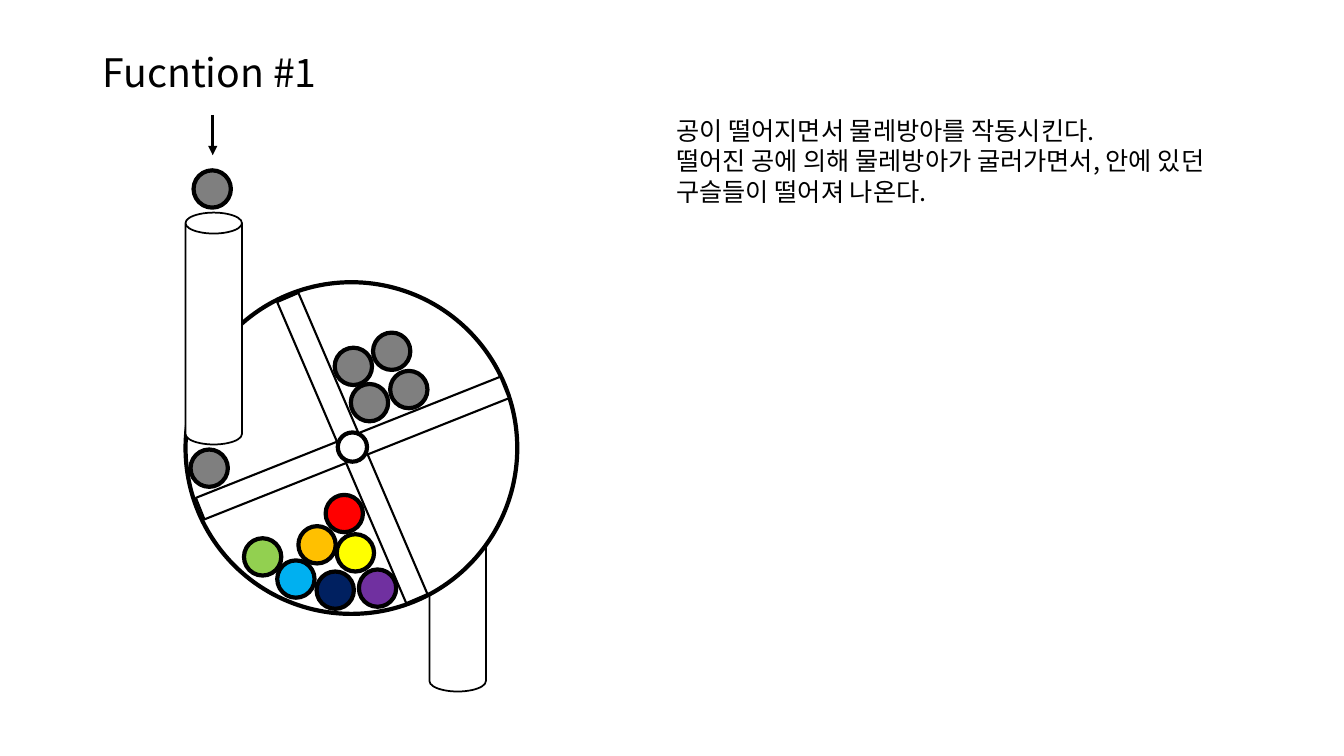
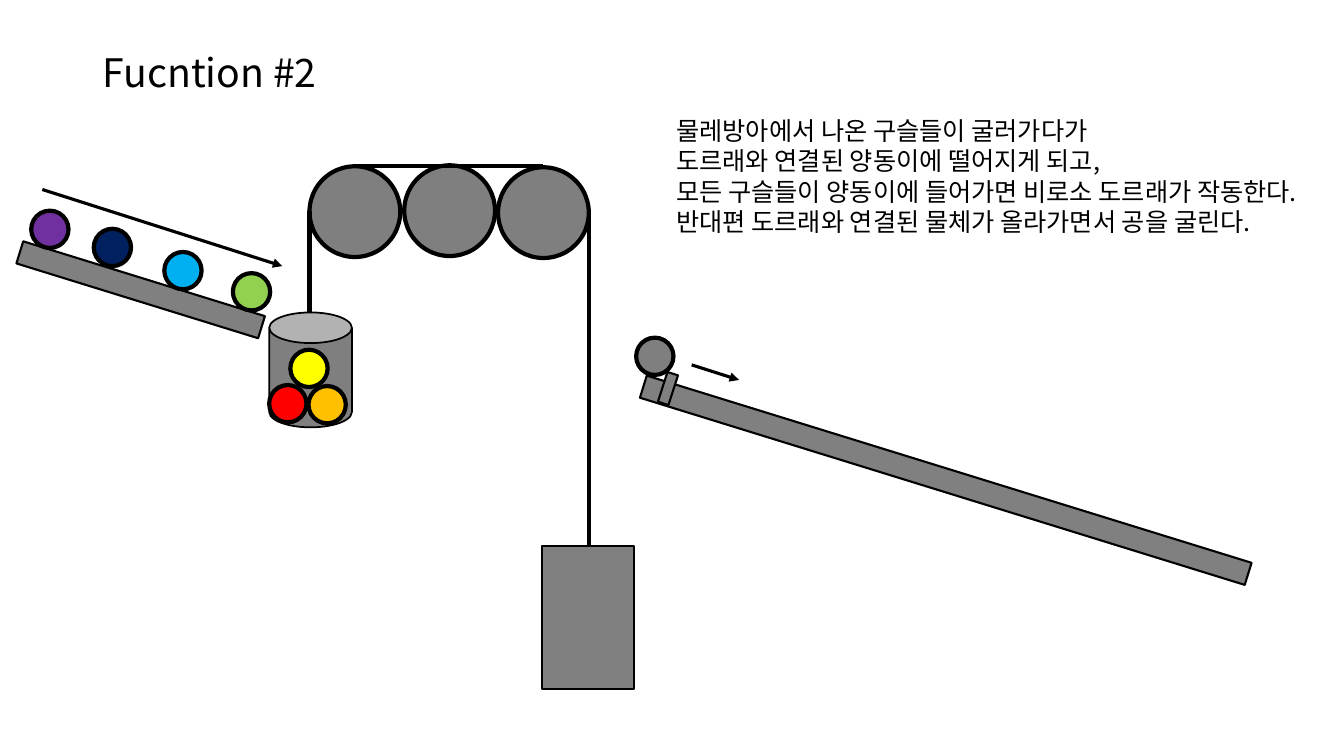
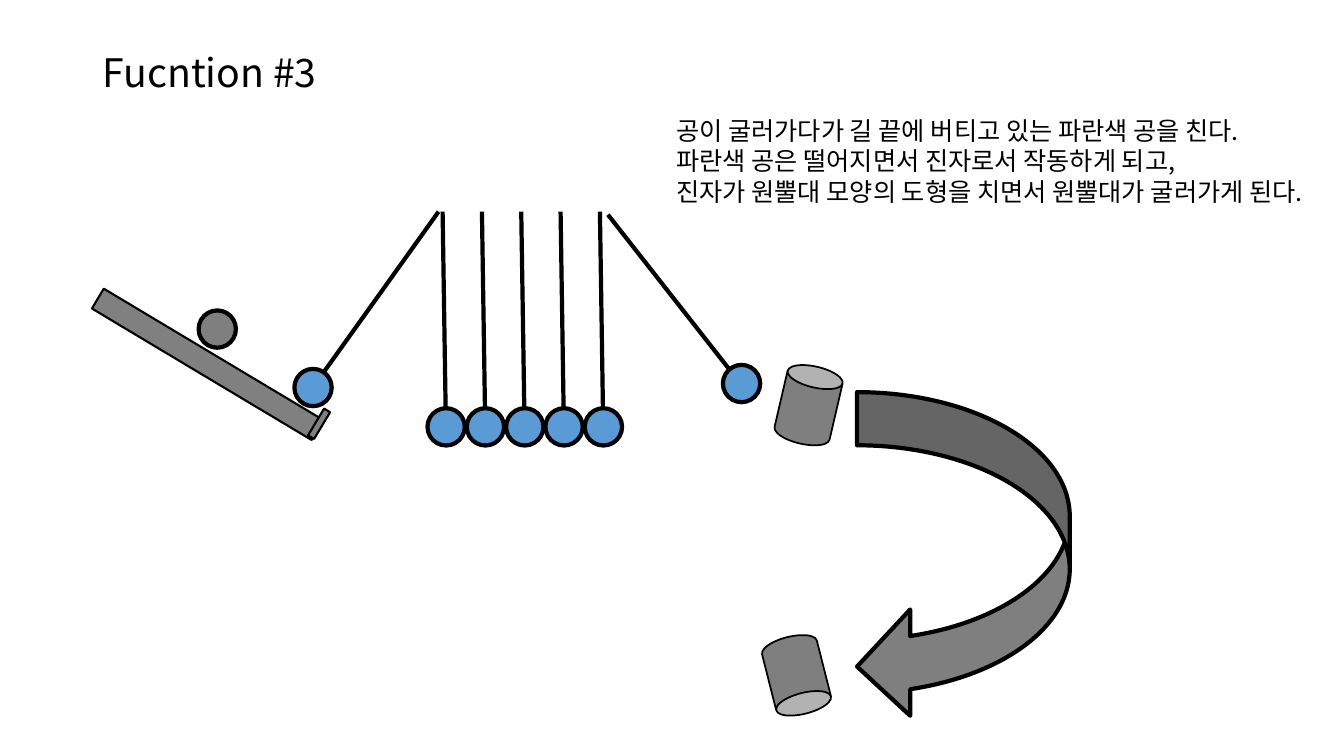
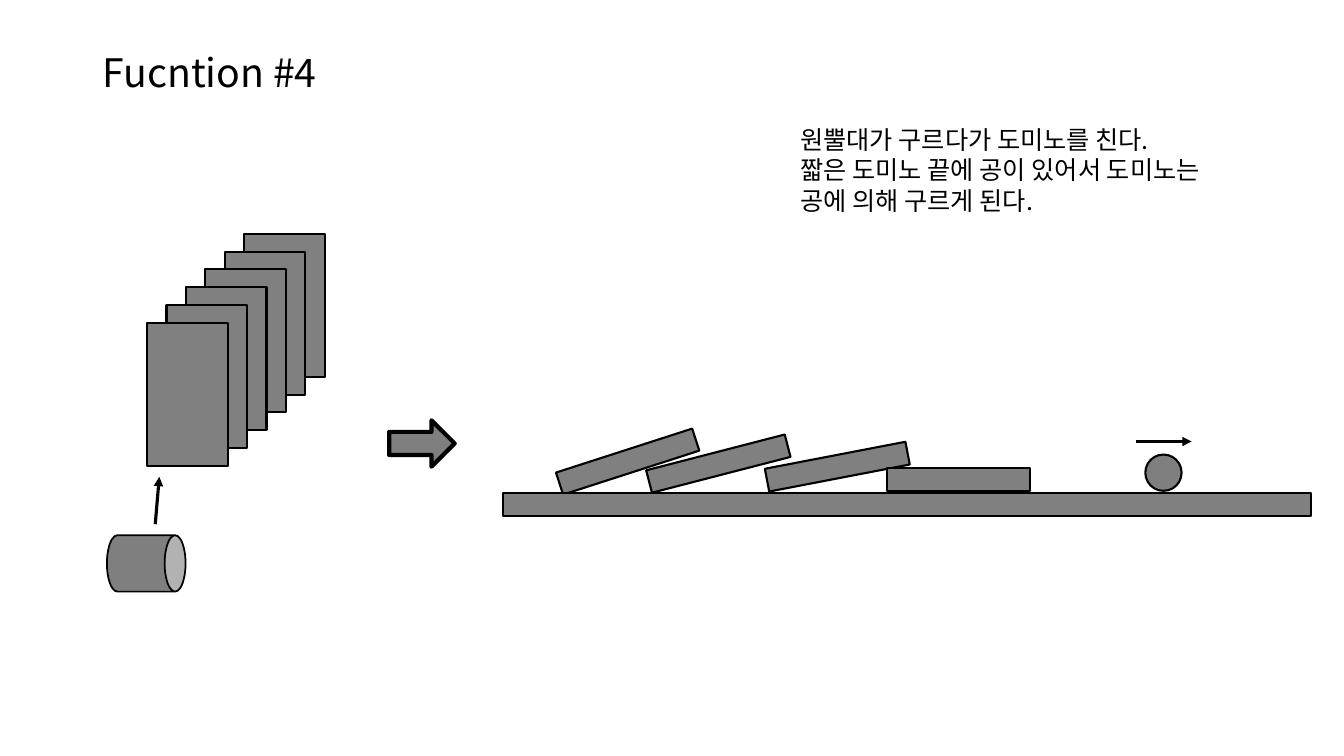
from lxml import etree
from pptx import Presentation
from pptx.dml.color import RGBColor
from pptx.enum.shapes import MSO_CONNECTOR, MSO_SHAPE
from pptx.enum.text import MSO_ANCHOR
from pptx.oxml.ns import qn
from pptx.util import Inches, Pt

STRAIGHT = MSO_CONNECTOR.STRAIGHT
MIDDLE = MSO_ANCHOR.MIDDLE
CIRCLE = MSO_SHAPE.OVAL
RECT = MSO_SHAPE.RECTANGLE
CAN = MSO_SHAPE.CAN
RIGHT_ARROW = MSO_SHAPE.RIGHT_ARROW
CURVED_ARROW = MSO_SHAPE.CURVED_LEFT_ARROW

FONT = "Noto Sans CJK KR"
BLACK, WHITE, GRAY, WOOD = "000000", "FFFFFF", "7F7F7F", "808080"
RED, ORANGE, YELLOW, GREEN = "FF0000", "FFC000", "FFFF00", "92D050"
SKY, NAVY, PURPLE, BLUE = "00B0F0", "002060", "7030A0", "5B9BD5"

BALL = 0.37
THIN, MEDIUM, ARROW, THICK = 1.25, 1.5, 2.25, 3
CAN_CAP = 0.371
TITLE_AREA = (0.92, 0.4, 8.67, 0.69)
PULLEY = 0.9

# Text of each slide: title, body area, body paragraphs
TEXTS = [
    ("Fucntion #1", (6.61, 1.09, 6.34, 1.01), [
        "공이 떨어지면서 물레방아를 작동시킨다.",
        "떨어진 공에 의해 물레방아가 굴러가면서, 안에 있던",
        "구슬들이 떨어져 나온다."]),
    ("Fucntion #2", (6.61, 1.09, 6.34, 1.31), [
        "물레방아에서 나온 구슬들이 굴러가다가",
        "도르래와 연결된 양동이에 떨어지게 되고,",
        "모든 구슬들이 양동이에 들어가면 비로소 도르래가 작동한다.",
        "반대편 도르래와 연결된 물체가 올라가면서 공을 굴린다."]),
    ("Fucntion #3", (6.61, 1.09, 6.34, 1.01), [
        "공이 굴러가다가 길 끝에 버티고 있는 파란색 공을 친다.",
        "파란색 공은 떨어지면서 진자로서 작동하게 되고,",
        "진자가 원뿔대 모양의 도형을 치면서 원뿔대가 굴러가게 된다."]),
    ("Fucntion #4", (7.84, 1.18, 4.26, 1.01), [
        "원뿔대가 구르다가 도미노를 친다.",
        "짧은 도미노 끝에 공이 있어서 도미노는 공에 의해 구르게 된다."]),
]

# Balls: colour, left, top
WHEEL_BALLS = [
    (GRAY, 1.92, 1.69), (PURPLE, 3.56, 5.65), (NAVY, 3.14, 5.67),
    (YELLOW, 3.34, 5.3), (SKY, 2.75, 5.56), (ORANGE, 2.96, 5.22),
    (RED, 3.23, 4.91), (GREEN, 2.42, 5.34), (GRAY, 3.48, 3.81),
    (GRAY, 3.87, 3.68), (GRAY, 3.32, 3.45), (GRAY, 1.89, 4.46),
    (GRAY, 3.7, 3.3)]
BUCKET_BALLS = [
    (RED, 2.67, 3.82), (ORANGE, 3.06, 3.83), (PURPLE, 0.31, 2.09),
    (YELLOW, 2.88, 3.47), (GREEN, 2.31, 2.71), (NAVY, 0.93, 2.27),
    (SKY, 1.63, 2.5)]

# Pulleys: left, top; ropes: start, end
PULLEYS = [(3.07, 1.65), (4.01, 1.64), (4.94, 1.66)]
ROPES = [((5.84, 2.1), (5.84, 5.42)), ((5.39, 1.65), (3.52, 1.65)),
         ((3.07, 2.09), (3.07, 3.18))]

# Hanging pendulums: first ball, step between balls
PENDULUM_COUNT, PENDULUM_LEFT, PENDULUM_TOP, PENDULUM_STEP = 5, 4.24, 4.05, 0.39

# Standing dominoes, from the back; fallen ones: area, rotation
DOMINO_COUNT, DOMINO_BACK, DOMINO_STEP = 6, (2.42, 2.32), (-0.192, 0.176)
DOMINO_WIDTH, DOMINO_HEIGHT, DOMINO_DEPTH = 0.8, 1.42, 0.23
FALLEN = [(6.11, 3.87, 72.1), (7.01, 3.89, 75.5),
          (8.19, 3.92, 79.1), (9.39, 4.05, 90)]


def color(value):
    """Turn a hex string into a colour."""
    return RGBColor.from_string(value)


def add_shape(page, kind, area, fill, weight, rotation=0):
    """Draw a filled preset shape with a black outline."""
    shape = page.shapes.add_shape(kind, *map(Inches, area))
    shape.shadow.inherit = False
    shape.rotation = rotation
    shape.fill.solid()
    shape.fill.fore_color.rgb = color(fill)
    shape.line.color.rgb = color(BLACK)
    shape.line.width = Pt(weight)
    return shape


def add_ball(page, fill, left, top, size=BALL, weight=THICK):
    """Draw a ball from its top left corner."""
    add_shape(page, CIRCLE, (left, top, size, size), fill, weight)


def add_bar(page, area, rotation=0, fill=WOOD):
    """Draw a plank, block or spoke."""
    add_shape(page, RECT, area, fill, MEDIUM, rotation)


def add_can(page, area, rotation=0, fill=GRAY):
    """Draw a cylinder."""
    can = add_shape(page, CAN, area, fill, THIN, rotation)
    can.adjustments[0] = CAN_CAP


def add_line(page, start, end, weight=THICK, arrow=False):
    """Draw a straight line, with an arrowhead at its end if wanted."""
    line = page.shapes.add_connector(STRAIGHT, *map(Inches, start + end))
    line.line.color.rgb = color(BLACK)
    line.line.width = Pt(weight)
    if arrow:
        etree.SubElement(line.line._get_or_add_ln(), qn("a:tailEnd"), type="triangle")
    etree.SubElement(line._element.spPr, qn("a:effectLst"))


def add_arrow(page, start, end):
    """Draw an arrow that shows a motion."""
    add_line(page, start, end, ARROW, True)


def add_text(page, area, lines, size, spacing, anchor=None):
    """Write paragraphs in a wrapping text box."""
    frame = page.shapes.add_textbox(*map(Inches, area)).text_frame
    frame.word_wrap = True
    if anchor is not None:
        frame.vertical_anchor = anchor
    frame.text = "\n".join(lines)
    for para in frame.paragraphs:
        para.line_spacing = spacing
        for span in para.runs:
            span.font.size = Pt(size)
            span.font.name = FONT
            span.font.color.rgb = color(BLACK)
            etree.SubElement(span.font._element, qn("a:ea"), typeface=FONT)


def draw_water_wheel(page):
    """Balls drop through a pipe and turn the wheel."""
    add_can(page, (4.26, 5.24, 0.56, 1.62), fill=WHITE)
    add_ball(page, WHITE, 1.84, 2.8, 3.29)
    add_can(page, (1.84, 2.11, 0.56, 2.3), fill=WHITE)
    for rotation in (68.3, 336.8):
        add_bar(page, (3.38, 2.82, 0.23, 3.25), rotation, WHITE)
    add_ball(page, WHITE, 3.35, 4.29, 0.29)
    add_arrow(page, (2.11, 1.14), (2.11, 1.54))
    for ball in WHEEL_BALLS:
        add_ball(page, *ball)


def draw_pulleys(page):
    """A bucket of balls lifts a block over pulleys."""
    add_bar(page, (6.24, 4.65, 6.28, 0.23), 17.2)
    add_ball(page, GRAY, 6.31, 3.35)
    add_bar(page, (6.57, 3.7, 0.11, 0.31), 17.8)
    add_arrow(page, (6.86, 3.62), (7.33, 3.77))
    for left, top in PULLEYS:
        add_ball(page, GRAY, left, top, PULLEY)
    for start, end in ROPES:
        add_line(page, start, end)
    add_bar(page, (0.14, 2.76, 2.51, 0.23), 17.2)
    add_can(page, (2.67, 3.1, 0.82, 1.14))
    for ball in BUCKET_BALLS:
        add_ball(page, *ball)
    add_arrow(page, (0.42, 1.88), (2.8, 2.64))
    add_bar(page, (5.38, 5.42, 0.91, 1.42))


def draw_pendulums(page):
    """A ball sets off pendulums, which knock a cylinder away."""
    add_bar(page, (0.79, 3.5, 2.54, 0.23), 30.9)
    add_ball(page, BLUE, 2.92, 3.66)
    add_ball(page, GRAY, 1.97, 3.08)
    add_bar(page, (3.13, 4.05, 0.07, 0.31), 30.9)
    add_line(page, (3.22, 3.68), (4.35, 2.1))
    add_ball(page, BLUE, 7.17, 3.62)
    add_line(page, (7.23, 3.66), (6.03, 2.13))
    add_can(page, (7.74, 3.63, 0.56, 0.78), 13.1)
    add_can(page, (7.62, 6.31, 0.56, 0.78), 165.8)
    add_shape(page, CURVED_ARROW, (8.5, 3.89, 2.11, 3.25), GRAY, THICK)
    for index in range(PENDULUM_COUNT):
        left = PENDULUM_LEFT + index * PENDULUM_STEP
        add_ball(page, BLUE, left, PENDULUM_TOP)
        add_line(page, (left + 0.18, PENDULUM_TOP), (left + 0.15, 2.1))


def draw_dominoes(page):
    """A cylinder topples dominoes, which push a ball."""
    add_can(page, (1.17, 5.2, 0.56, 0.78), 90)
    for index in range(DOMINO_COUNT):
        left, top = (start + index * step
                     for start, step in zip(DOMINO_BACK, DOMINO_STEP))
        add_bar(page, (left, top, DOMINO_WIDTH, DOMINO_HEIGHT))
    for left, top, rotation in FALLEN:
        add_bar(page, (left, top, DOMINO_DEPTH, DOMINO_HEIGHT), rotation)
    add_bar(page, (4.99, 4.89, 8.01, 0.23))
    add_ball(page, GRAY, 11.36, 4.51, 0.36, MEDIUM)
    add_arrow(page, (1.54, 5.2), (1.58, 4.73))
    add_arrow(page, (11.27, 4.38), (11.82, 4.38))
    add_shape(page, RIGHT_ARROW, (3.86, 4.17, 0.65, 0.46), GRAY, THICK)


DRAWINGS = [draw_water_wheel, draw_pulleys, draw_pendulums, draw_dominoes]

deck = Presentation()
deck.slide_width, deck.slide_height = Inches(13.33), Inches(7.5)
for (title, body_area, body), draw in zip(TEXTS, DRAWINGS):
    page = deck.slides.add_slide(deck.slide_layouts[6])
    add_text(page, TITLE_AREA, [title], 28, 0.9, MIDDLE)
    add_text(page, body_area, body, 18, Pt(21.8))
    draw(page)
deck.save("out.pptx")
